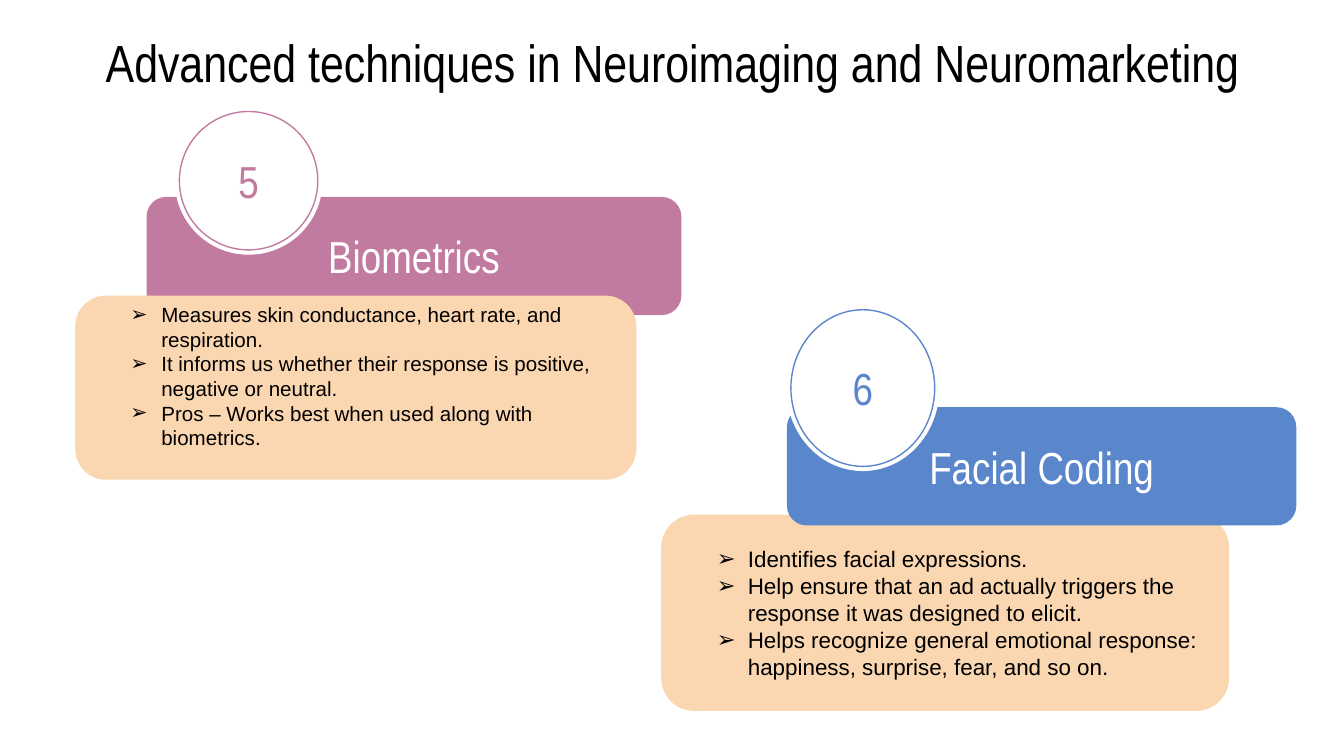
from lxml.etree import SubElement
from pptx import Presentation
from pptx.dml.color import RGBColor
from pptx.enum.shapes import MSO_SHAPE
from pptx.enum.text import MSO_ANCHOR, MSO_AUTO_SIZE, PP_ALIGN
from pptx.oxml.ns import qn
from pptx.util import Pt

EMU_PER_PX = 4572
INSET = 20
BADGE_RIM = 6
BULLET_MARGIN = 95
BULLET_HANGING = 46
CORNER = 0.167
COLORS = {
    "white": "FFFFFF",
    "black": "000000",
    "pink": "C27BA0",
    "blue": "5A86CC",
    "peach": "FAD6B1",
}


def px(length):
    return length * EMU_PER_PX


def rgb(color):
    return RGBColor.from_string(COLORS[color])


def add_bullet(paragraph):
    paragraph.level = 1
    properties = paragraph._p.get_or_add_pPr()
    properties.set("marL", str(px(BULLET_MARGIN)))
    properties.set("indent", str(px(-BULLET_HANGING)))
    bullet_color = SubElement(properties, qn("a:buClr"))
    SubElement(bullet_color, qn("a:srgbClr"), val=COLORS["black"])
    SubElement(properties, qn("a:buFont"), typeface="Arial")
    SubElement(properties, qn("a:buChar"), char="➢")


def write_text(holder, lines, size=24, font="Arial Narrow", color="black",
               align=PP_ALIGN.CENTER, anchor=MSO_ANCHOR.MIDDLE,
               bulleted=False, bottom=INSET):
    frame = holder.text_frame
    frame.word_wrap = True
    frame.auto_size = MSO_AUTO_SIZE.NONE
    frame.vertical_anchor = anchor
    frame.margin_left = frame.margin_right = frame.margin_top = px(INSET)
    frame.margin_bottom = px(bottom)
    frame.text = "\n".join(lines)
    for paragraph in frame.paragraphs:
        if bulleted:
            add_bullet(paragraph)
        paragraph.alignment = align
        paragraph.font.size = Pt(size)
        paragraph.font.name = font
        paragraph.font.color.rgb = rgb(color)


def add_filled(shapes, preset, box, fill, line=None):
    shape = shapes.add_shape(preset, *map(px, box))
    shape.shadow.inherit = False
    shape.fill.solid()
    shape.fill.fore_color.rgb = rgb(fill)
    if line:
        shape.line.color.rgb = rgb(line)
        shape.line.width = Pt(0.75)
    else:
        shape.line.fill.background()
    return shape


def add_card(slide, box, fill):
    card = add_filled(slide.shapes, MSO_SHAPE.ROUNDED_RECTANGLE, box, fill)
    card.adjustments[0] = CORNER
    return card


def add_heading(slide, box, heading, color):
    write_text(add_card(slide, box, color), [heading], color="white")


def add_points(slide, box, points, size, bottom=INSET):
    write_text(add_card(slide, box, "peach"), points, size=size, font="Arial",
               align=PP_ALIGN.LEFT, bulleted=True, bottom=bottom)


def add_badge(slide, box, number, color):
    left, top, width, height = box
    badge = slide.shapes.add_group_shape().shapes
    add_filled(badge, MSO_SHAPE.OVAL, box, "white", "white")
    face_box = (left + BADGE_RIM, top + BADGE_RIM,
                width - 2 * BADGE_RIM, height - 2 * BADGE_RIM)
    face = add_filled(badge, MSO_SHAPE.OVAL, face_box, "white", color)
    write_text(face, [number], color=color)


def add_title(slide, heading):
    title = slide.shapes.title
    title.left, title.top, title.width, title.height = map(px, (66, 25, 1868, 126))
    write_text(title, [heading], size=28, anchor=MSO_ANCHOR.TOP)


def main():
    presentation = Presentation()
    presentation.slide_width = px(2000)
    presentation.slide_height = px(1125)
    slide = presentation.slides.add_slide(presentation.slide_layouts[5])

    add_title(slide, "Advanced techniques in Neuroimaging and Neuromarketing")

    add_heading(slide, (218, 293, 796, 176), "Biometrics", "pink")
    add_points(slide, (112, 440, 835, 274), [
        "Measures skin conductance, heart rate, and respiration.",
        "It informs us whether their response is positive, negative or neutral.",
        "Pros – Works best when used along with biometrics.",
    ], size=11, bottom=55)
    add_badge(slide, (261, 160, 218, 218), "5", "pink")

    add_points(slide, (984, 766, 845, 292), [
        "Identifies facial expressions.",
        "Help ensure that an ad actually triggers the response it was designed to elicit.",
        "Helps recognize general emotional response: happiness, surprise, fear, and so on.",
    ], size=12)
    add_heading(slide, (1171, 606, 758, 176), "Facial Coding", "blue")
    add_badge(slide, (1171, 455, 226, 245), "6", "blue")

    presentation.save("out.pptx")


if __name__ == "__main__":
    main()
